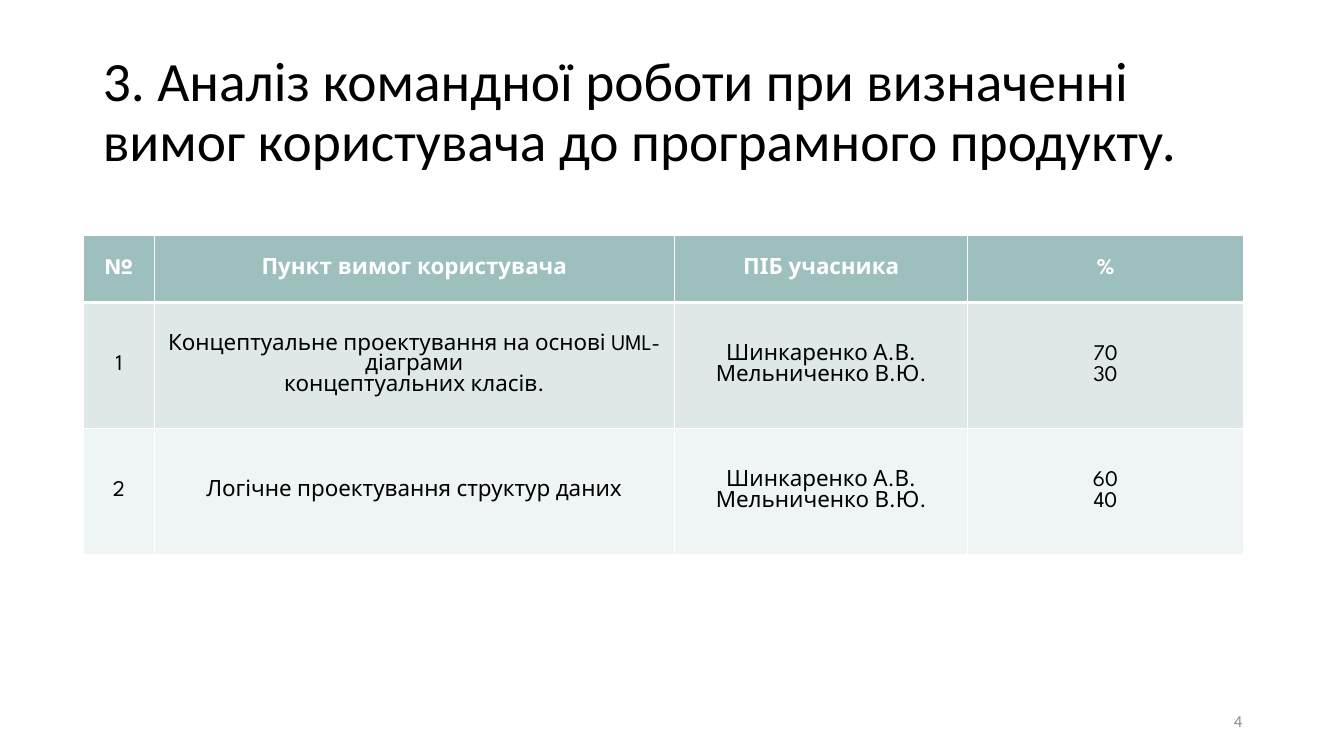
import pptx
import pptx.util
import pptx.dml.color
import pptx.enum.text
import pptx.oxml.ns
import lxml.etree

Inches, Pt = pptx.util.Inches, pptx.util.Pt
ALIGN = pptx.enum.text.PP_ALIGN
MIDDLE = pptx.enum.text.MSO_ANCHOR.MIDDLE
qn = pptx.oxml.ns.qn

COLORS = {"ink": "000000", "white": "FFFFFF", "header": "9DBFBE",
          "row_dark": "DEE8E8", "row_light": "EFF4F4", "number": "8C8C8C"}


def add_span(para, text, size, font, color, bold=False):
    """Add one formatted run to a paragraph."""
    span = para.add_run()
    span.text = text
    span.font.size = Pt(size)
    span.font.name = font
    span.font.bold = bold
    span.font.color.rgb = pptx.dml.color.RGBColor.from_string(COLORS[color])


def add_borders(cell, widths):
    """Draw white cell borders; widths are points by side, in schema order."""
    props = cell._tc.get_or_add_tcPr()
    for side, width in widths.items():
        line = lxml.etree.SubElement(props, qn("a:ln" + side), w=str(Pt(width)))
        fill = lxml.etree.SubElement(line, qn("a:solidFill"))
        lxml.etree.SubElement(fill, qn("a:srgbClr"), val=COLORS["white"])


deck = pptx.Presentation()
deck.slide_width, deck.slide_height = Inches(13.33), Inches(7.5)
page = deck.slides.add_slide(deck.slide_layouts[5])

# Title
title = page.shapes.title
title.left, title.top = Inches(0.92), Inches(0.4)
title.width, title.height = Inches(11.5), Inches(1.45)
frame = title.text_frame
frame.word_wrap = True
frame.auto_size = pptx.enum.text.MSO_AUTO_SIZE.NONE
frame.vertical_anchor = MIDDLE
para = frame.paragraphs[0]
para.alignment = ALIGN.LEFT
para.line_spacing = 0.9
add_span(para, "3. Аналіз командної роботи при визначенні вимог користувача "
         "до\u00a0програмного продукту. ", 39.6, "Calibri", "ink")

# Table of requirements and each member's share
members = ["Шинкаренко А.В.", "Мельниченко В.Ю."]
rows = [
    [["№"], ["Пункт вимог користувача"], ["ПІБ учасника"], ["%"]],
    [["1"], ["Концептуальне проектування на основі UML-діаграми",
             "концептуальних класів."], members, ["70", "30"]],
    [["2"], ["Логічне проектування структур даних"], members, ["60", "40"]],
]
column_widths = [0.7, 5.16, 2.91, 2.73]
row_heights = [0.66, 1.25, 1.25]
row_fills = ["header", "row_dark", "row_light"]

table = page.shapes.add_table(len(rows), len(column_widths), Inches(0.83), Inches(2.34),
                              Inches(sum(column_widths)), Inches(sum(row_heights))).table
for column, width in zip(table.columns, column_widths):
    column.width = Inches(width)

for r, row in enumerate(rows):
    table.rows[r].height = Inches(row_heights[r])
    is_header = r == 0
    borders = {"L": 1, "R": 1, "T": 3 if r == 1 else 1, "B": 3 if is_header else 1}
    for c, lines in enumerate(row):
        cell = table.cell(r, c)
        add_borders(cell, borders)
        cell.fill.solid()
        cell.fill.fore_color.rgb = pptx.dml.color.RGBColor.from_string(COLORS[row_fills[r]])
        cell.vertical_anchor = MIDDLE
        cell.margin_left = cell.margin_right = Inches(0.09)
        cell.margin_top = cell.margin_bottom = Inches(0.05)
        for i, line in enumerate(lines):
            para = cell.text_frame.paragraphs[0] if i == 0 else cell.text_frame.add_paragraph()
            para.alignment = ALIGN.CENTER
            add_span(para, line, 16, "League Spartan",
                     "white" if is_header else "ink", is_header)

# Slide number
number_box = page.shapes.add_textbox(Inches(9.42), Inches(6.95), Inches(3), Inches(0.4))
number_box.text_frame.word_wrap = True
number_box.text_frame.vertical_anchor = MIDDLE
para = number_box.text_frame.paragraphs[0]
para.alignment = ALIGN.RIGHT
add_span(para, "4", 12, "Calibri", "number")

deck.save("out.pptx")
